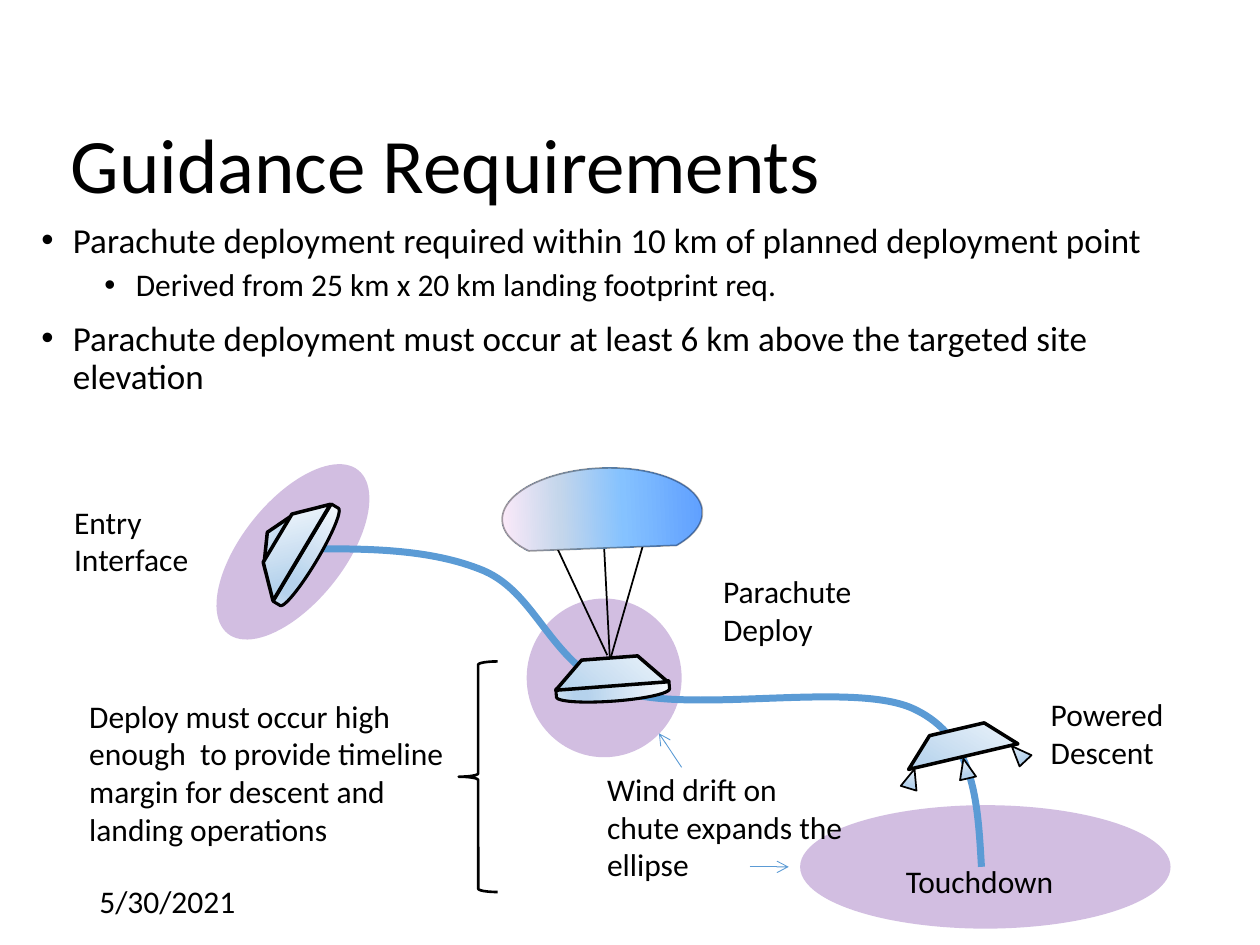
from lxml import etree
from pptx import Presentation
from pptx import util as u
from pptx.dml.color import RGBColor
from pptx.enum import shapes, text
from pptx.oxml import ns

SCALE = 9144
FONT = "Calibri"
BLACK = RGBColor(0x00, 0x00, 0x00)
BLUE = RGBColor(0x5B, 0x9B, 0xD5)
PURPLE = RGBColor(0x70, 0x30, 0xA0)
STEEL = [
    (0, RGBColor(0xF7, 0xFA, 0xFD)),
    (74, RGBColor(0xB5, 0xD2, 0xEC)),
    (83, RGBColor(0xB5, 0xD2, 0xEC)),
    (100, RGBColor(0xCE, 0xE1, 0xF2)),
]
SKY = [
    (0, RGBColor(0x5E, 0x9E, 0xFF)),
    (40, RGBColor(0x85, 0xC2, 0xFF)),
    (70, RGBColor(0xC4, 0xD6, 0xEB)),
    (100, RGBColor(0xFF, 0xEB, 0xFA)),
]
KIND = shapes.MSO_SHAPE


def px(*sizes):
    return [u.Emu(size * SCALE) for size in sizes]


def add_sub(parent, tag, **attrs):
    return etree.SubElement(parent, ns.qn(tag), attrs)


def set_alpha(root, percent):
    for color in root.iter(ns.qn("a:srgbClr")):
        add_sub(color, "a:alpha", val=str(percent * 1000))


def set_line(item, color, width):
    item.line.color.rgb = color
    item.line.width = u.Pt(width)


def set_blend(shape, stops):
    shape.fill.gradient()
    shape.fill.gradient_angle = 270
    stop_list = next(shape.element.iter(ns.qn("a:gsLst")))
    for old in list(stop_list):
        stop_list.remove(old)
    for place, color in stops:
        stop = add_sub(stop_list, "a:gs", pos=str(place * 1000))
        add_sub(stop, "a:srgbClr", val=str(color))


def set_font(para, size):
    para.font.name = FONT
    para.font.size = u.Pt(size)
    para.font.color.rgb = BLACK


def add_shape(tree, kind, box, turn=0):
    shape = tree.add_shape(kind, *px(*box))
    shape.rotation = turn
    shape.shadow.inherit = False
    return shape


def add_zone(tree, box, turn):
    zone = add_shape(tree, KIND.OVAL, box, turn)
    zone.fill.solid()
    zone.fill.fore_color.rgb = PURPLE
    set_alpha(zone.element.spPr, 31)
    zone.line.fill.background()


def add_part(tree, kind, box, turn, width, stops=STEEL):
    part = add_shape(tree, kind, box, turn)
    set_blend(part, stops)
    set_line(part, BLACK, width)
    return part


def add_line(tree, start, end, color, width, arrow=False):
    line = tree.add_connector(shapes.MSO_CONNECTOR.STRAIGHT, *px(*start, *end))
    set_line(line, color, width)
    add_sub(line.element.spPr, "a:effectLst")
    if arrow:
        add_sub(line.line._get_or_add_ln(), "a:tailEnd", type="arrow")


def add_curve(tree, start, points):
    pen = tree.build_freeform(*start, scale=SCALE)
    pen.add_line_segments(points, close=False)
    curve = pen.convert_to_shape()
    steps = list(curve.element.iter(ns.qn("a:lnTo")))
    track = steps[0].getparent()
    for first in range(0, len(steps), 3):
        bend = add_sub(track, "a:cubicBezTo")
        for step in steps[first:first + 3]:
            bend.append(step[0])
            track.remove(step)
    curve.fill.background()
    curve.shadow.inherit = False
    set_line(curve, BLUE, 4)


def add_label(tree, box, words, wrap=True):
    frame = tree.add_textbox(*px(*box)).text_frame
    frame.word_wrap = wrap
    frame.auto_size = text.MSO_AUTO_SIZE.SHAPE_TO_FIT_TEXT
    frame.text = words
    set_font(frame.paragraphs[0], 18)


def add_title(slide, words):
    title = slide.shapes.title
    title.left, title.top, title.width, title.height = px(46, 100, 862, 67)
    frame = title.text_frame
    frame.auto_size = text.MSO_AUTO_SIZE.NONE
    frame.vertical_anchor = text.MSO_ANCHOR.MIDDLE
    frame.text = words
    para = frame.paragraphs[0]
    para.alignment = text.PP_ALIGN.LEFT
    para.line_spacing = 0.9
    set_font(para, 44)


def add_bullets(tree, box, items):
    frame = tree.add_textbox(*px(*box)).text_frame
    frame.word_wrap = True
    for index, (level, words) in enumerate(items):
        para = frame.add_paragraph() if index else frame.paragraphs[0]
        para.text = words
        para.level = level
        para.line_spacing = 0.9
        para.space_before = u.Pt(5 if level else 10)
        set_font(para, 18 if level else 20)
        props = para._p.get_or_add_pPr()
        props.set("marL", str((25 + 50 * level) * SCALE))
        props.set("indent", str(-25 * SCALE))
        add_sub(props, "a:buFont", typeface="Arial")
        add_sub(props, "a:buChar", char="•")


def add_entry(tree):
    add_part(tree, KIND.ISOSCELES_TRIANGLE, (195, 420, 43, 10), 300.9, 2)
    add_part(tree, KIND.FLOWCHART_DELAY, (239, 397, 13, 90), 30.9, 1.75)
    add_part(tree, KIND.DIAGONAL_STRIPE, (208, 407, 63, 63), 345.8, 2)


def add_lander(tree):
    add_part(tree, KIND.DIAGONAL_STRIPE, (733, 569, 63, 63), 31.8, 2)
    for left, top, turn in [(760, 602, 346.9), (717, 610, 16.9), (802, 590, 316.9)]:
        add_part(tree, KIND.ISOSCELES_TRIANGLE, (left, top, 13, 16), turn, 1)


def add_chute(tree):
    add_part(tree, KIND.FLOWCHART_DELAY, (480, 505, 13, 90), 85.8, 1.75)
    add_part(tree, KIND.DIAGONAL_STRIPE, (454, 513, 63, 63), 40.7, 2)
    for start, end in [((484, 522), (479, 425)), ((485, 521), (512, 427)),
                       ((482, 520), (438, 426))]:
        add_line(tree, start, end, BLACK, 1)
    dome = add_part(tree, KIND.CHORD, (440, 330, 76, 159), 87.4, 1, SKY)
    dome.adjustments[0] = 40.288
    dome.adjustments[1] = 176.552
    set_alpha(dome.line._get_or_add_ln(), 34)


def main():
    deck = Presentation()
    deck.slide_width, deck.slide_height = px(1000, 750)
    slide = deck.slides.add_slide(deck.slide_layouts[5])
    tree = slide.shapes
    add_title(slide, "Guidance Requirements")
    add_bullets(tree, (23, 172, 955, 476), [
        (0, "Parachute deployment required within 10 km of planned deployment point"),
        (1, "Derived from 25 km x 20 km landing footprint req."),
        (0, "Parachute deployment must occur at least 6 km above the targeted site elevation"),
    ])
    add_label(tree, (69, 695, 225, 40), "5/30/2021")

    add_zone(tree, (733, 541, 98, 294), 90)
    add_zone(tree, (418, 475, 123, 126), 180)
    add_zone(tree, (192, 355, 81, 166), 38.6)
    add_curve(tree, (233, 436), [
        (287, 435), (341, 435), (384, 453),
        (428, 472), (437, 530), (494, 549),
        (551, 567), (679, 540), (726, 563),
        (774, 586), (776, 637), (779, 688),
    ])
    for draw in (add_entry, add_lander, add_chute):
        draw(tree.add_group_shape().shapes)

    brace = add_shape(tree, KIND.LEFT_BRACE, (364, 525, 31, 183))
    brace.fill.background()
    set_line(brace, BLACK, 1.5)

    add_label(tree, (49, 394, 146, 71), "Entry Interface")
    add_label(tree, (564, 449, 159, 71), "Parachute Deploy")
    add_label(tree, (709, 679, 139, 40), "Touchdown", wrap=False)
    add_label(tree, (472, 606, 207, 101), "Wind drift on chute expands the ellipse")
    add_label(tree, (61, 548, 304, 131),
              "Deploy must occur high enough  to provide timeline margin "
              "for descent and landing operations")
    add_label(tree, (824, 547, 169, 71), "Powered Descent")
    add_line(tree, (541, 609), (523, 582), BLUE, 0.5, arrow=True)
    add_line(tree, (595, 688), (626, 688), BLUE, 0.5, arrow=True)
    deck.save("out.pptx")


if __name__ == "__main__":
    main()
